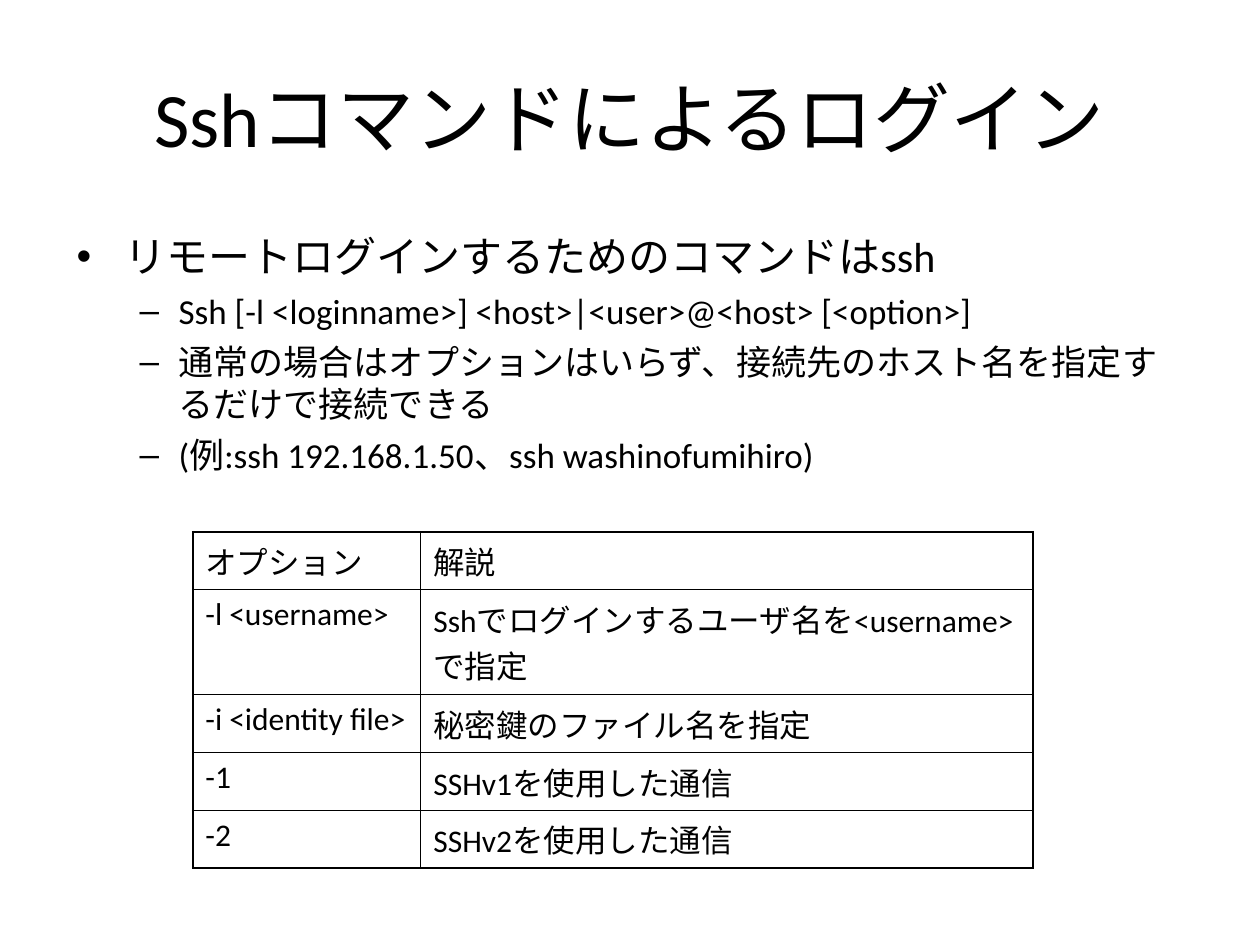
from lxml.etree import SubElement
from pptx import Presentation
from pptx.dml.color import RGBColor
from pptx.enum.text import MSO_ANCHOR, PP_ALIGN
from pptx.oxml.ns import qn
from pptx.util import Inches, Pt

COLORS = {"ink": "000000", "paper": "FFFFFF"}
FONT = "Calibri"
OUTER_LINE, INNER_LINE = 1.08, 0.45

TITLE = "Sshコマンドによるログイン"
# Each level: size, left indent, hanging indent, bullet
LEVELS = [(24, 0.38, 0.38, "•"), (20, 0.81, 0.31, "–")]
POINTS = [
    (0, "リモートログインするためのコマンドはssh"),
    (1, "Ssh [-l <loginname>] <host>|<user>@<host> [<option>]"),
    (1, "通常の場合はオプションはいらず、接続先のホスト名を指定するだけで接続できる"),
    (1, "(例:ssh 192.168.1.50、ssh washinofumihiro)"),
]
OPTIONS = [
    ("オプション", "解説"),
    ("-l <username>", "Sshでログインするユーザ名を<username>で指定"),
    ("-i <identity file>", "秘密鍵のファイル名を指定"),
    ("-1", "SSHv1を使用した通信"),
    ("-2", "SSHv2を使用した通信"),
]
COLUMN_WIDTHS = [1.81, 4.86]
ROW_HEIGHTS = [0.46, 0.83, 0.46, 0.46, 0.46]


def set_font(para, size):
    para.font.name = FONT
    para.font.size = Pt(size)
    para.font.color.rgb = RGBColor.from_string(COLORS["ink"])


def add_frame(page, left, top, width, height):
    box = page.shapes.add_textbox(Inches(left), Inches(top), Inches(width), Inches(height))
    box.text_frame.word_wrap = True
    return box.text_frame


def add_title(page, left, top, width, height):
    frame = add_frame(page, left, top, width, height)
    frame.vertical_anchor = MSO_ANCHOR.MIDDLE
    para = frame.paragraphs[0]
    para.text = TITLE
    para.alignment = PP_ALIGN.CENTER
    set_font(para, 44)


def add_points(page, left, top, width, height):
    frame = add_frame(page, left, top, width, height)
    for index, (level, text) in enumerate(POINTS):
        para = frame.add_paragraph() if index else frame.paragraphs[0]
        para.text = text
        para.level = level
        if index:
            para.space_before = Pt(5)
        size, indent, hanging, bullet = LEVELS[level]
        properties = para._p.get_or_add_pPr()
        properties.set("marL", str(Inches(indent)))
        properties.set("indent", str(-Inches(hanging)))
        SubElement(properties, qn("a:buFont"), typeface="Arial")
        SubElement(properties, qn("a:buChar"), char=bullet)
        set_font(para, size)


def set_borders(cell, outer_sides):
    """Draw all four sides, with a heavier line on the table's outer edge."""
    properties = cell._tc.get_or_add_tcPr()
    for side, is_outer in outer_sides.items():
        weight = OUTER_LINE if is_outer else INNER_LINE
        line = SubElement(properties, qn(f"a:ln{side}"), w=str(Pt(weight)))
        fill = SubElement(line, qn("a:solidFill"))
        SubElement(fill, qn("a:srgbClr"), val=COLORS["ink"])


def add_options_table(page, left, top, width, height):
    table = page.shapes.add_table(
        len(OPTIONS), len(COLUMN_WIDTHS),
        Inches(left), Inches(top), Inches(width), Inches(height),
    ).table
    table.first_row = table.horz_banding = False
    for column, column_width in zip(table.columns, COLUMN_WIDTHS):
        column.width = Inches(column_width)
    for row, row_height in zip(table.rows, ROW_HEIGHTS):
        row.height = Inches(row_height)
    for r, texts in enumerate(OPTIONS):
        for c, text in enumerate(texts):
            cell = table.cell(r, c)
            cell.text = text
            set_font(cell.text_frame.paragraphs[0], 18)
            set_borders(cell, {
                "L": c == 0,
                "R": c == len(COLUMN_WIDTHS) - 1,
                "T": r == 0,
                "B": r == len(OPTIONS) - 1,
            })
            cell.fill.background()


def main():
    deck = Presentation()
    deck.slide_width, deck.slide_height = Inches(10), Inches(7.5)
    page = deck.slides.add_slide(deck.slide_layouts[6])
    page.background.fill.solid()
    page.background.fill.fore_color.rgb = RGBColor.from_string(COLORS["paper"])
    add_title(page, 0.5, 0.3, 9, 1.25)
    add_points(page, 0.51, 1.78, 9, 4.95)
    add_options_table(page, 1.53, 4.22, sum(COLUMN_WIDTHS), sum(ROW_HEIGHTS))
    deck.save("out.pptx")


if __name__ == "__main__":
    main()
